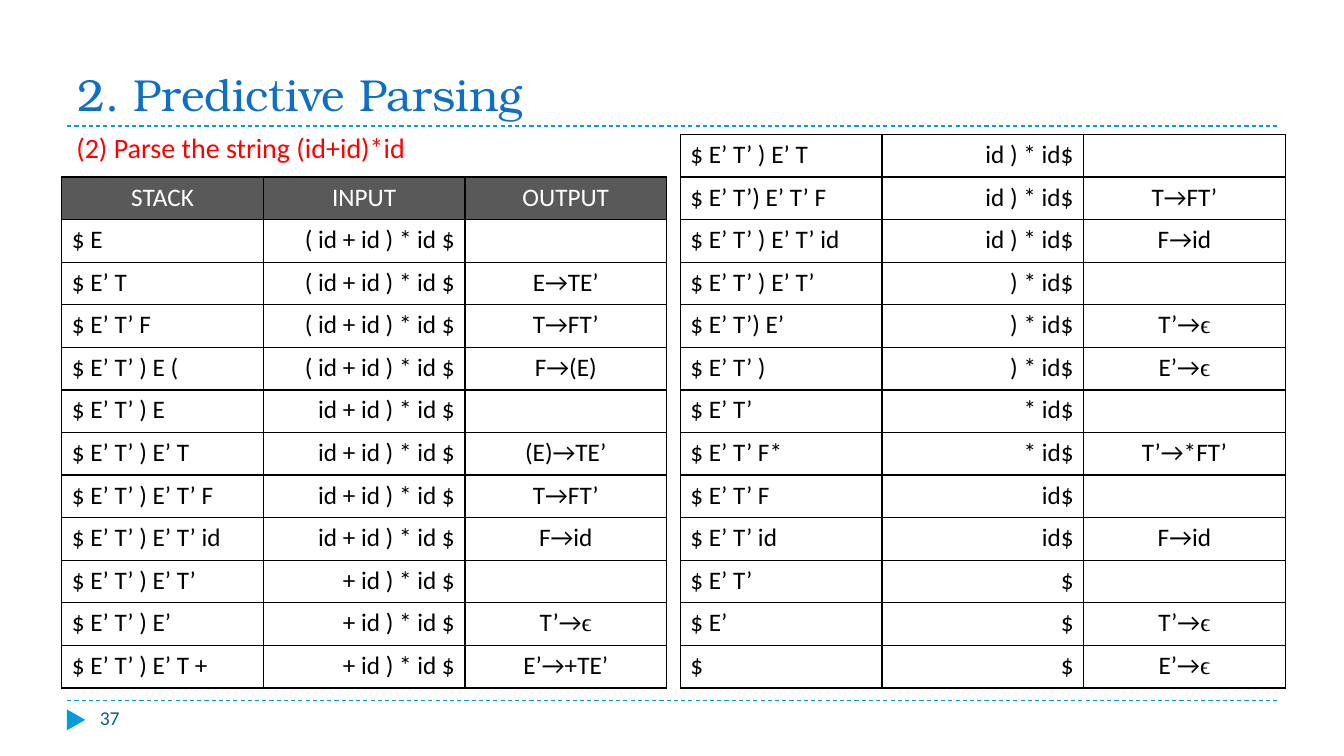
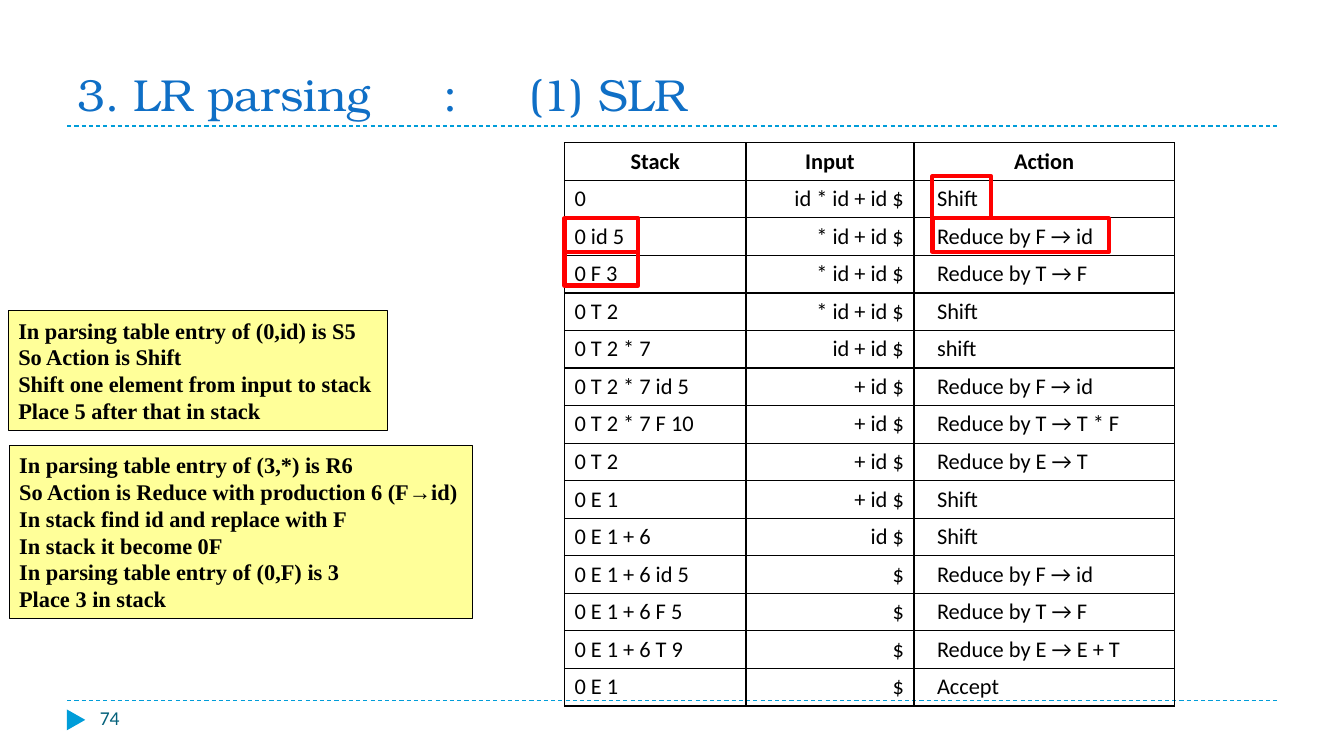
import pptx
import pptx.dml.color
import pptx.enum.dml
import pptx.enum.shapes
import pptx.enum.text
import pptx.oxml.ns
import pptx.util
import lxml.etree

COLORS = {
    "title": "0F6FC6", "accent": "009DD9", "number": "04617B", "text": "000000",
    "task": "FF0000", "header": "595959", "header_text": "FFFFFF", "note": "FFFF99",
}
FORMATS = {
    "title": {"name": "TeX Gyre Bonum", "size": pptx.util.Pt(32), "bold": False},
    "number": {"name": "Calibri", "size": pptx.util.Pt(14)},
    "task": {"name": "Calibri", "size": pptx.util.Pt(20)},
    "predictive": {"name": "Calibri", "size": pptx.util.Pt(18), "bold": False},
    "slr": {"name": "Calibri", "size": pptx.util.Pt(16), "bold": False},
    "slr_header": {"name": "Calibri", "size": pptx.util.Pt(16), "bold": True},
    "note": {"name": "Times New Roman", "size": pptx.util.Pt(16), "bold": True},
}
COLORS = {k: pptx.dml.color.RGBColor.from_string(v) for k, v in COLORS.items()}
LEFT, CENTER, RIGHT = (getattr(pptx.enum.text.PP_ALIGN, n) for n in ("LEFT", "CENTER", "RIGHT"))
SHAPES = pptx.enum.shapes.MSO_SHAPE

deck = pptx.Presentation()
deck.slide_width, deck.slide_height = pptx.util.Inches(13.333), pptx.util.Inches(7.5)
# The slide is a grid of 160 columns by 90 rows of square units.
UNIT = deck.slide_height / 90
FRAME_LEFT, FRAME_RIGHT, TITLE_RULE, FOOTER_RULE = 8, 152, 15, 83.4


def grid(*units):
    return [round(n * UNIT) for n in units]


def write(paragraph, text, kind, color, align=LEFT):
    """Fill a paragraph, setting the epsilon in a serif font."""
    paragraph.alignment = align
    for part in filter(None, text.partition("ϵ")):
        run = paragraph.add_run()
        run.text = part
        for name, value in FORMATS[kind].items():
            setattr(run.font, name, value)
        if part == "ϵ":
            run.font.name = "Times New Roman"
        run.font.color.rgb = COLORS[color]


# Title, rules and page number of each slide
slides = []
for heading, page in [("2. Predictive Parsing", "37"), ("3. LR parsing\t:\t(1) SLR", "74")]:
    slide = deck.slides.add_slide(deck.slide_layouts[5])
    slides.append(slide)
    for height in (FOOTER_RULE, TITLE_RULE):
        rule = slide.shapes.add_connector(
            pptx.enum.shapes.MSO_CONNECTOR.STRAIGHT, *grid(FRAME_LEFT, height, FRAME_RIGHT, height))
        rule.line.color.rgb = COLORS["accent"]
        rule.line.width = pptx.util.Pt(0.75)
        rule.line.dash_style = pptx.enum.dml.MSO_LINE.DASH
        lxml.etree.SubElement(rule._element.spPr, pptx.oxml.ns.qn("a:effectLst"))
    marker = slide.shapes.add_shape(SHAPES.ISOSCELES_TRIANGLE, *grid(7.8, 84.6, 2.5, 2.2))
    marker.rotation = 90
    marker.shadow.inherit = False
    marker.fill.solid()
    marker.fill.fore_color.rgb = COLORS["accent"]
    marker.line.fill.background()

    title = slide.shapes.title
    title.left, title.top, title.width, title.height = grid(FRAME_LEFT, 3, 144, 12)
    title.text_frame.auto_size = pptx.enum.text.MSO_AUTO_SIZE.NONE
    title.text_frame.vertical_anchor = pptx.enum.text.MSO_ANCHOR.BOTTOM
    line = title.text_frame.paragraphs[0]
    if "\t" in heading:
        stops = lxml.etree.SubElement(line._p.get_or_add_pPr(), pptx.oxml.ns.qn("a:tabLst"))
        for stop in grid(43.6, 53.8):
            lxml.etree.SubElement(stops, pptx.oxml.ns.qn("a:tab"), pos=str(stop), algn="l")
    write(line, heading, "title", "title")

    number = slide.shapes.add_textbox(*grid(10.7, FOOTER_RULE, 34.7, 4.8))
    number.text_frame.word_wrap = True
    write(number.text_frame.paragraphs[0], page, "number", "number")

predictive_slide, slr_slide = slides
task = predictive_slide.shapes.add_textbox(*grid(7.9, 15, 42.4, 5.3))
task.text_frame.word_wrap = False
write(task.text_frame.paragraphs[0], "(2) Parse the string (id+id)*id", "task", "task")

predictive_steps = [
    ("$ E", "( id + id ) * id $", ""),
    ("$ E’ T", "( id + id ) * id $", "E→TE’"),
    ("$ E’ T’ F", "( id + id ) * id $", "T→FT’"),
    ("$ E’ T’ ) E (", "( id + id ) * id $", "F→(E)"),
    ("$ E’ T’ ) E", "id + id ) * id $", ""),
    ("$ E’ T’ ) E’ T", "id + id ) * id $", "(E)→TE’"),
    ("$ E’ T’ ) E’ T’ F", "id + id ) * id $", "T→FT’"),
    ("$ E’ T’ ) E’ T’ id", "id + id ) * id $", "F→id"),
    ("$ E’ T’ ) E’ T’", "+ id ) * id $", ""),
    ("$ E’ T’ ) E’", "+ id ) * id $", "T’→ϵ"),
    ("$ E’ T’ ) E’ T +", "+ id ) * id $", "E’→+TE’"),
    ("$ E’ T’ ) E’ T", "id ) * id$", ""),
    ("$ E’ T’) E’ T’ F", "id ) * id$", "T→FT’"),
    ("$ E’ T’ ) E’ T’ id", "id ) * id$", "F→id"),
    ("$ E’ T’ ) E’ T’", ") * id$", ""),
    ("$ E’ T’) E’", ") * id$", "T’→ϵ"),
    ("$ E’ T’ )", ") * id$", "E’→ϵ"),
    ("$ E’ T’", "* id$", ""),
    ("$ E’ T’ F*", "* id$", "T’→*FT’"),
    ("$ E’ T’ F", "id$", ""),
    ("$ E’ T’ id", "id$", "F→id"),
    ("$ E’ T’", "$", ""),
    ("$ E’", "$", "T’→ϵ"),
    ("$", "$", "E’→ϵ"),
]
slr_steps = [
    ("0", "id * id + id $", "Shift"),
    ("0 id 5", "* id + id $", "Reduce by F → id"),
    ("0 F 3", "* id + id $", "Reduce by T → F"),
    ("0 T 2", "* id + id $", "Shift"),
    ("0 T 2 * 7", "id + id $", "shift"),
    ("0 T 2 * 7 id 5", "+ id $", "Reduce by F → id"),
    ("0 T 2 * 7 F 10", "+ id $", "Reduce by T → T * F"),
    ("0 T 2", "+ id $", "Reduce by E → T"),
    ("0 E 1", "+ id $", "Shift"),
    ("0 E 1 + 6", "id $", "Shift"),
    ("0 E 1 + 6 id 5", "$", "Reduce by F → id"),
    ("0 E 1 + 6 F 5", "$", "Reduce by T → F"),
    ("0 E 1 + 6 T 9", "$", "Reduce by E → E + T"),
    ("0 E 1", "$", "Accept"),
]

# Parse traces: slide, format, left, top, column widths, row height, header, steps
ROW, COLUMNS = 5.07, (24, 24, 24)
traces = [
    (predictive_slide, "predictive", 7.35, 16 + ROW, COLUMNS, ROW,
     [("STACK", "INPUT", "OUTPUT")], predictive_steps[:11]),
    (predictive_slide, "predictive", 81, 16, COLUMNS, ROW, [], predictive_steps[11:]),
    (slr_slide, "slr", 67.2, 17, (21.6, 20, 31), 4.47, [("Stack", "Input", "Action")], slr_steps),
]
for slide, kind, left, top, widths, row_height, header, steps in traces:
    rows = header + steps
    trace = slide.shapes.add_table(
        len(rows), 3, *grid(left, top, sum(widths), row_height * len(rows))).table
    trace.first_row, trace.horz_banding = bool(header), False
    for column, width in zip(trace.columns, grid(*widths)):
        column.width = width
    for r, texts in enumerate(rows):
        trace.rows[r].height = grid(row_height)[0]
        is_header = r < len(header)
        for c, text in enumerate(texts):
            cell = trace.cell(r, c)
            for side in ("lnL", "lnR", "lnT", "lnB"):
                border = lxml.etree.SubElement(
                    cell._tc.get_or_add_tcPr(), pptx.oxml.ns.qn("a:" + side), w="12700")
                paint = lxml.etree.SubElement(border, pptx.oxml.ns.qn("a:solidFill"))
                lxml.etree.SubElement(
                    paint, pptx.oxml.ns.qn("a:srgbClr"), val=str(COLORS["text"]))
            shaded = is_header and kind == "predictive"
            if shaded:
                cell.fill.solid()
                cell.fill.fore_color.rgb = COLORS["header"]
            else:
                cell.fill.background()
            align = CENTER if is_header else (LEFT, RIGHT, CENTER)[c]
            if kind == "slr" and c == 2 and not is_header:
                align = LEFT
                cell.margin_left = grid(2.75)[0]
            write(cell.text_frame.paragraphs[0], text,
                  "slr_header" if is_header and kind == "slr" else kind,
                  "header_text" if shaded else "text", align)

notes = [
    ((1, 37, 45.1, 14.2), [
        "In parsing table entry of (0,id) is S5",
        "So Action is Shift",
        "Shift one element from input to stack",
        "Place 5 after that in stack",
    ]),
    ((1.1, 53, 55.2, 20.6), [
        "In parsing table entry of (3,*) is R6",
        "So Action is Reduce with production 6 (F→id)",
        "In stack find id and replace with F",
        "In stack it become 0F",
        "In parsing table entry of (0,F) is 3",
        "Place 3 in stack",
    ]),
]
for place, lines in notes:
    note = slr_slide.shapes.add_shape(SHAPES.RECTANGLE, *grid(*place))
    note.shadow.inherit = False
    note.fill.solid()
    note.fill.fore_color.rgb = COLORS["note"]
    note.line.color.rgb = COLORS["text"]
    note.line.width = pptx.util.Pt(0.75)
    frame = note.text_frame
    frame.word_wrap = False
    for i, text in enumerate(lines):
        write(frame.add_paragraph() if i else frame.paragraphs[0], text, "note", "text")

# Outlines around the steps that the notes explain
for place in [(67.2, 26, 8.8, 4), (111, 21, 7, 5), (67.2, 30, 8.8, 4), (111, 26, 21, 4)]:
    highlight = slr_slide.shapes.add_shape(SHAPES.RECTANGLE, *grid(*place))
    highlight.shadow.inherit = False
    highlight.fill.background()
    highlight.line.color.rgb = COLORS["task"]
    highlight.line.width = pptx.util.Pt(3)

deck.save("out.pptx")
